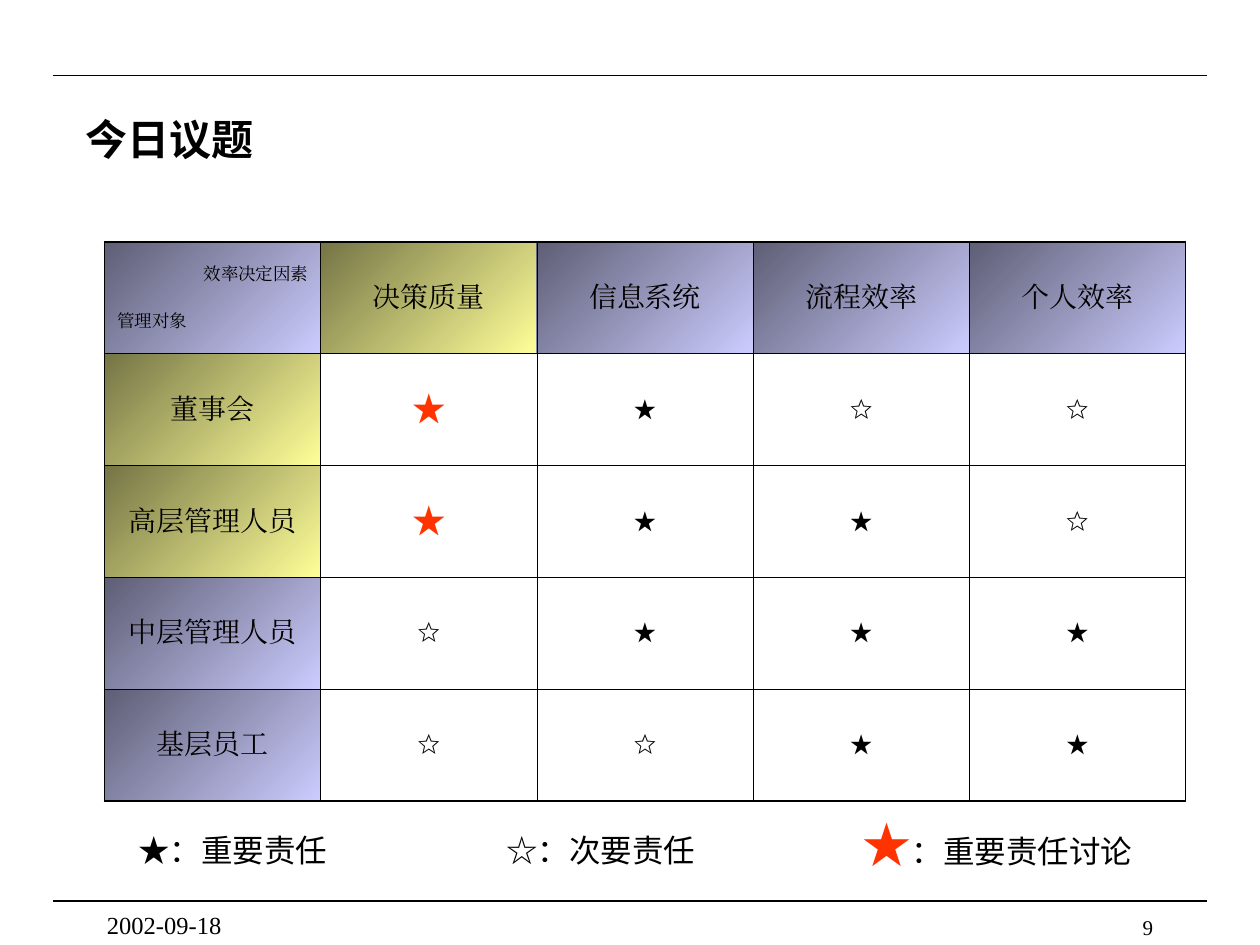
"""Build the agenda slide with its responsibility matrix."""
from lxml.etree import SubElement
from pptx import Presentation
from pptx.dml.color import RGBColor
from pptx.enum.shapes import MSO_CONNECTOR, MSO_SHAPE
from pptx.enum.text import MSO_ANCHOR, PP_ALIGN
from pptx.oxml import parse_xml
from pptx.oxml.ns import nsdecls, qn
from pptx.util import Inches, Pt

BLACK = RGBColor(0x00, 0x00, 0x00)
WHITE = RGBColor(0xFF, 0xFF, 0xFF)
RED = RGBColor(0xFF, 0x33, 0x00)
LILAC = (RGBColor(0xCC, 0xCC, 0xFF), RGBColor(0x5E, 0x5E, 0x75))
YELLOW = (RGBColor(0xFF, 0xFF, 0x99), RGBColor(0x75, 0x75, 0x46))
SANS = "Noto Sans CJK SC"
SERIF = "Times New Roman"


class SlideBuilder:
    def __init__(self, slide):
        self.slide = slide
        self.inner_width, self.outer_width = Pt(0.45), Pt(1.08)

    def add_text(self, paragraph, text, size, latin=SERIF, asian=SERIF, color=BLACK, **formats):
        run = paragraph.add_run()
        run.text = text
        for attribute, value in {"name": latin, "size": Pt(size), **formats}.items():
            setattr(run.font, attribute, value)
        run.font.color.rgb = color
        SubElement(run._r.get_or_add_rPr(), qn("a:ea")).set("typeface", asian)

    def rule(self, y):
        line = self.slide.shapes.add_connector(
            MSO_CONNECTOR.STRAIGHT, Inches(0.42), Inches(y), Inches(9.58), Inches(y))
        line.line.color.rgb = BLACK
        line.line.width = Pt(0.75)
        SubElement(line._element.spPr, qn("a:effectLst"))

    def label(self, box, text, size, align=PP_ALIGN.LEFT, anchor=MSO_ANCHOR.TOP, **formats):
        frame = self.slide.shapes.add_textbox(*map(Inches, box)).text_frame
        frame.word_wrap = True
        frame.vertical_anchor = anchor
        frame.paragraphs[0].alignment = align
        self.add_text(frame.paragraphs[0], text, size, **formats)

    def legend(self, left, top, *parts):
        panel = self.slide.shapes.add_shape(
            MSO_SHAPE.RECTANGLE, Inches(left), Inches(top), Inches(2.58), Inches(0.33))
        panel.shadow.inherit = False
        panel.fill.solid()
        panel.fill.fore_color.rgb = WHITE
        panel.line.fill.background()
        panel.text_frame.vertical_anchor = MSO_ANCHOR.MIDDLE
        paragraph = panel.text_frame.paragraphs[0]
        paragraph.alignment = PP_ALIGN.LEFT
        for text, formats in parts:
            self.add_text(paragraph, text, **formats)

    def shade(self, cell, colors):
        if colors is None:
            cell.fill.background()
            return
        cell.fill.gradient()
        cell.fill.gradient_angle = 135
        for stop, position, color in zip(cell.fill.gradient_stops, (0, 1), colors):
            stop.position = position
            stop.color.rgb = color

    def border(self, cell, outer_sides):
        properties = cell._tc.get_or_add_tcPr()
        for index, side in enumerate("LRTB"):
            width = self.outer_width if side in outer_sides else self.inner_width
            properties.insert(index, parse_xml(
                f'<a:ln{side} {nsdecls("a")} w="{int(width)}"><a:solidFill>'
                f'<a:srgbClr val="{BLACK}"/></a:solidFill></a:ln{side}>'))

    def corner(self, cell, factor_title, subject_title):
        factor = cell.text_frame.paragraphs[0]
        factor.alignment = PP_ALIGN.RIGHT
        self.add_text(factor, factor_title, 10)
        subject = cell.text_frame.add_paragraph()
        subject.space_before = Pt(16)
        self.add_text(subject, subject_title, 10)

    def matrix(self, corner_titles, factors, ratings, discussed):
        rows, columns = len(ratings) + 1, len(factors) + 1
        frame = self.slide.shapes.add_table(
            rows, columns, Inches(0.83), Inches(1.92), Inches(8.58), Inches(4.44))
        table = frame.table
        table.first_row = table.horz_banding = False
        grid = [["", *factors]] + [[subject, *marks] for subject, marks in ratings.items()]
        for r, entries in enumerate(grid):
            for c, entry in enumerate(entries):
                cell = table.cell(r, c)
                cell.vertical_anchor = MSO_ANCHOR.MIDDLE
                is_heading = r == 0 or c == 0
                topic = grid[0][c] if r == 0 else entries[0]
                heading_colors = YELLOW if topic in discussed else LILAC
                self.shade(cell, heading_colors if is_heading else None)
                edges = {"L": c == 0, "R": c == columns - 1, "T": r == 0, "B": r == rows - 1}
                self.border(cell, [side for side, is_outer in edges.items() if is_outer])
                if r == c == 0:
                    self.corner(cell, *corner_titles)
                    continue
                paragraph = cell.text_frame.paragraphs[0]
                paragraph.alignment = PP_ALIGN.CENTER
                in_focus = not is_heading and {entries[0], grid[0][c]} <= discussed
                self.add_text(paragraph, entry, 24 if in_focus else 16,
                              color=RED if in_focus else BLACK)


def main():
    presentation = Presentation()
    presentation.slide_width, presentation.slide_height = Inches(10), Inches(7.5)
    builder = SlideBuilder(presentation.slides.add_slide(presentation.slide_layouts[6]))

    for y in (0.6, 7.15):
        builder.rule(y)
    builder.label((0.58, 0.7, 9, 0.8), "今日议题", 24, anchor=MSO_ANCHOR.MIDDLE,
                  latin=SANS, asian=SANS, bold=True)

    ratings = {
        "董事会": "★★☆☆",
        "高层管理人员": "★★★☆",
        "中层管理人员": "☆★★★",
        "基层员工": "☆☆★★",
    }
    builder.matrix(("效率决定因素", "管理对象"),
                   ["决策质量", "信息系统", "流程效率", "个人效率"], ratings,
                   discussed={"决策质量", "董事会", "高层管理人员"})

    legend_text = {"size": 18, "latin": SANS, "asian": SANS}
    discussion_star = {"size": 28, "asian": SANS, "color": RED}
    builder.legend(1, 6.58, ("★：重要责任", legend_text))
    builder.legend(3.92, 6.58, ("☆：次要责任", legend_text))
    builder.legend(6.75, 6.53, ("★", discussion_star), ("：重要责任讨论", legend_text))

    builder.label((7.17, 7.21, 2.08, 0.17), "9", 12, align=PP_ALIGN.RIGHT)
    builder.label((0.75, 7.17, 2.08, 0.25), "2002-09-18", 14)
    presentation.save("out.pptx")


if __name__ == "__main__":
    main()
